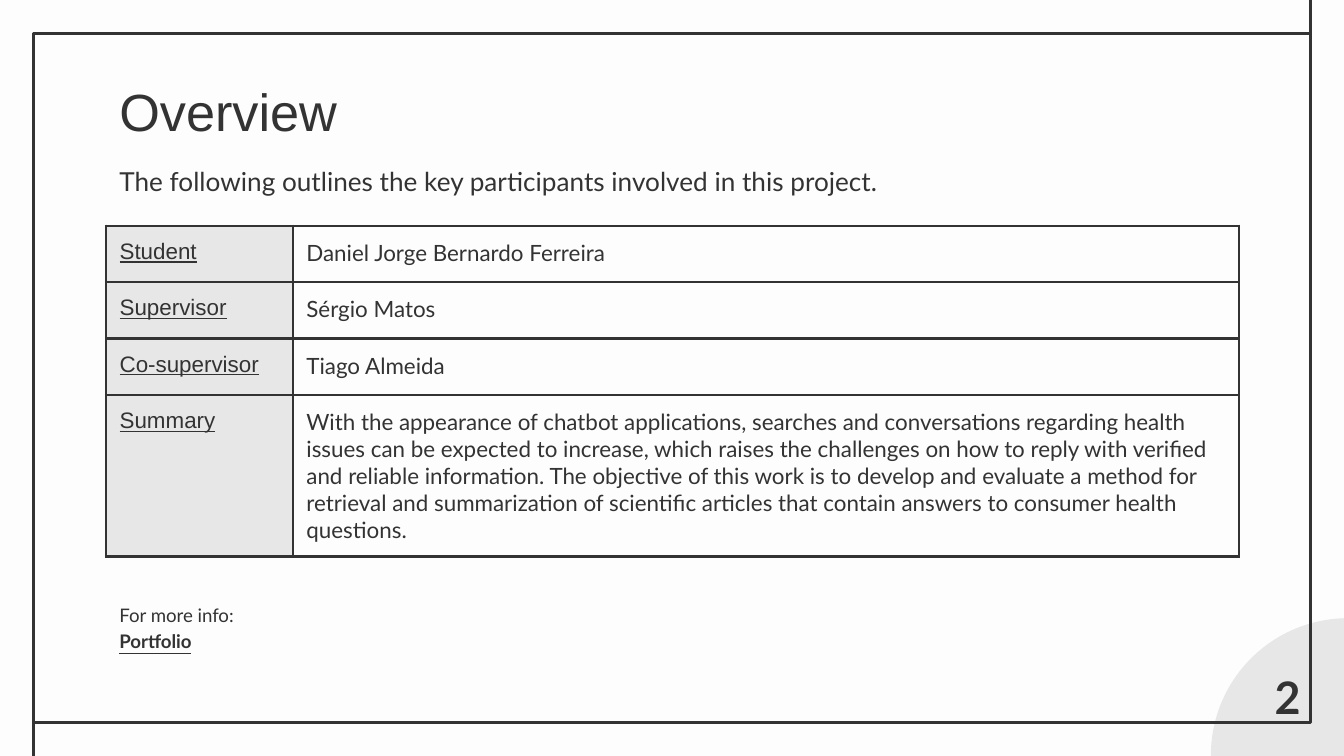
from lxml.etree import SubElement as Sub
from pptx import Presentation
from pptx.dml.color import RGBColor as Rgb
from pptx.enum.shapes import MSO_CONNECTOR as Conn, MSO_SHAPE as Kind
from pptx.enum.text import MSO_ANCHOR as Anchor, PP_ALIGN as Align
from pptx.oxml.ns import qn
from pptx.util import Inches, Pt

WIDE = 10
HIGH = WIDE * 9 / 16
HUES = {"paper": "FDFDFD", "ink": "333333", "shade": "E8E7E7"}
HEAD, BODY = "Arial", "Lato"
LEFT, SPAN, EDGE, PAD, RULE = 0.79, 8.43, 0.25, 0.1, 1.5

TITLE = [("Overview", {"size": 28, "font": HEAD})]
INTRO = [("The following outlines the key participants involved in this project.", {"size": 14})]
MORE = [("For more info:", {"size": 10}),
        ("Portfolio", {"size": 10, "bold": True, "under": True})]
PAGE = [("2", {"size": 24, "bold": True})]
ROWS = [
    ("Student", "Daniel Jorge Bernardo Ferreira", 0.42),
    ("Supervisor", "Sérgio Matos", 0.42),
    ("Co-supervisor", "Tiago Almeida", 0.42),
    ("Summary", "With the appearance of chatbot applications, searches and "
     "conversations regarding health issues can be expected to increase, which "
     "raises the challenges on how to reply with verified and reliable "
     "information. The objective of this work is to develop and evaluate a "
     "method for retrieval and summarization of scientific articles that "
     "contain answers to consumer health questions.", 1.2),
]
COLS = (1.39, SPAN - 1.39)
TEXTS = [
    (TITLE, (LEFT, 0.49, SPAN, 0.63), Align.LEFT, 1),
    (INTRO, (LEFT, 1.13, SPAN, 0.55), Align.LEFT, 1),
    (MORE, (LEFT, 4.37, 2.34, 0.5), Align.LEFT, 1.15),
    (PAGE, (9.28, 4.88, 0.6, 0.51), Align.CENTER, 1),
]


def hue(name):
    return Rgb.from_string(HUES[name])


def place(box):
    return [Inches(part) for part in box]


def write(para, text, size, font=BODY, bold=False, under=False):
    run = para.add_run()
    run.text = text
    face = run.font
    face.name, face.size, face.bold, face.underline = font, Pt(size), bold, under
    face.color.rgb = hue("ink")


def add_text(slide, runs, box, align, space):
    frame = slide.shapes.add_textbox(*place(box)).text_frame
    frame.word_wrap = True
    frame.margin_left = frame.margin_right = Inches(PAD)
    frame.margin_top = frame.margin_bottom = Inches(PAD)
    para = frame.paragraphs[0]
    para.alignment, para.line_spacing = align, space
    for spot, (text, style) in enumerate(runs):
        if spot:
            para.add_line_break()
        write(para, text, **style)


def add_frame(slide):
    disc = slide.shapes.add_shape(Kind.OVAL, *place((9.01, 4.6, 2.04, 2.04)))
    disc.fill.solid()
    disc.fill.fore_color.rgb = hue("shade")
    disc.line.fill.background()
    rim = slide.shapes.add_shape(
        Kind.RECTANGLE, *place((EDGE, EDGE, WIDE - 2 * EDGE, HIGH - 2 * EDGE)))
    rim.fill.background()
    rim.line.color.rgb, rim.line.width = hue("ink"), Pt(RULE)
    for shape in (disc, rim):
        shape.shadow.inherit = False
    for x, top, base in ((WIDE - EDGE, 0, EDGE), (EDGE, HIGH - EDGE, HIGH)):
        stub = slide.shapes.add_connector(Conn.STRAIGHT, *place((x, top, x, base)))
        stub.line.color.rgb, stub.line.width = hue("ink"), Pt(RULE)
        Sub(stub.element.spPr, qn("a:effectLst"))


def add_border(cell):
    props = cell._tc.get_or_add_tcPr()
    for side in ("lnL", "lnR", "lnT", "lnB"):
        line = Sub(props, qn("a:" + side), w=str(Pt(RULE)))
        Sub(Sub(line, qn("a:solidFill")), qn("a:srgbClr"), val=HUES["ink"])


def fill_cell(cell, text, label):
    cell.margin_left = cell.margin_right = Inches(PAD)
    cell.margin_top = cell.margin_bottom = Inches(PAD)
    cell.vertical_anchor = Anchor.TOP
    add_border(cell)
    if label:
        cell.fill.solid()
        cell.fill.fore_color.rgb = hue("shade")
    else:
        cell.fill.background()
    write(cell.text_frame.paragraphs[0], text, 12, HEAD if label else BODY, under=label)


def add_grid(slide):
    tall = sum(row[-1] for row in ROWS)
    grid = slide.shapes.add_table(
        len(ROWS), len(COLS), *place((LEFT, 1.68, SPAN, tall))).table
    grid.first_row = grid.horz_banding = False
    for col, width in zip(grid.columns, COLS):
        col.width = Inches(width)
    for r, (*texts, height) in enumerate(ROWS):
        grid.rows[r].height = Inches(height)
        for c, text in enumerate(texts):
            fill_cell(grid.cell(r, c), text, c == 0)


def main():
    deck = Presentation()
    deck.slide_width, deck.slide_height = Inches(WIDE), Inches(HIGH)
    slide = deck.slides.add_slide(deck.slide_layouts[6])
    slide.background.fill.solid()
    slide.background.fill.fore_color.rgb = hue("paper")
    add_frame(slide)
    for item in TEXTS:
        add_text(slide, *item)
    add_grid(slide)
    deck.save("out.pptx")


if __name__ == "__main__":
    main()
